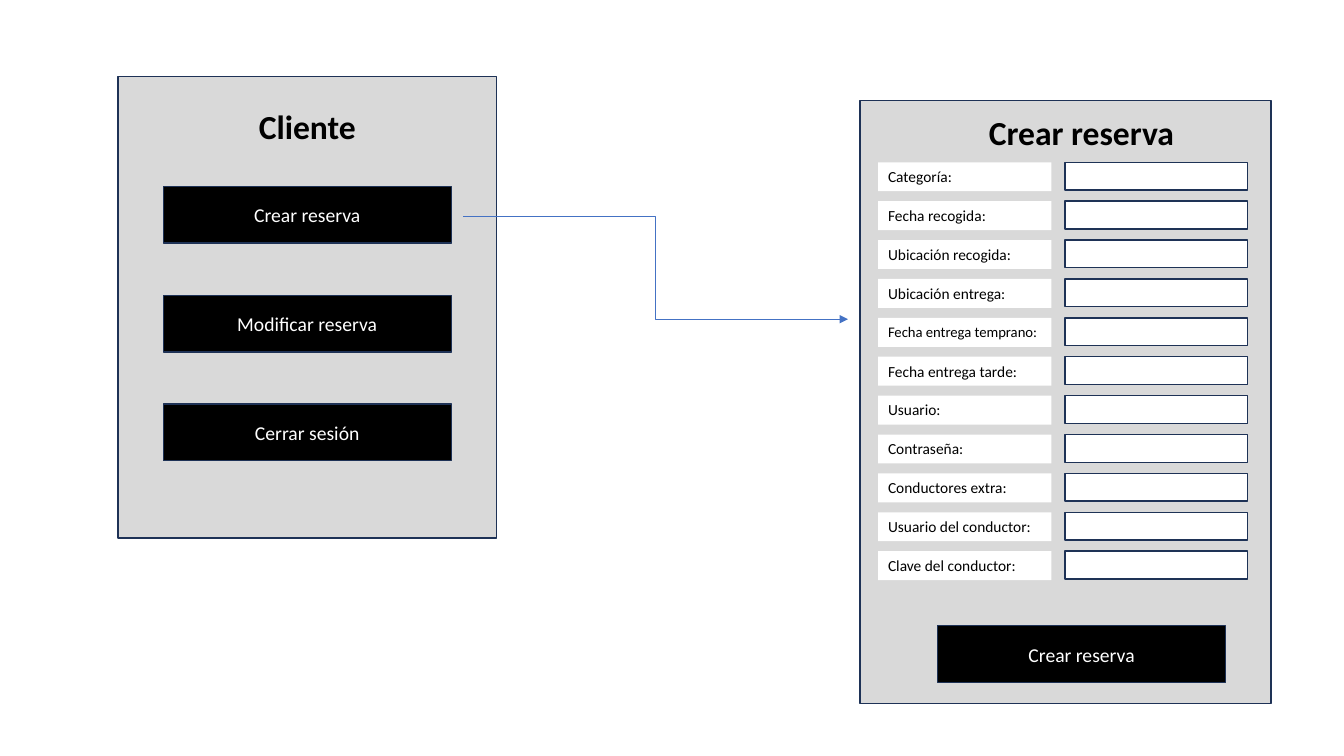
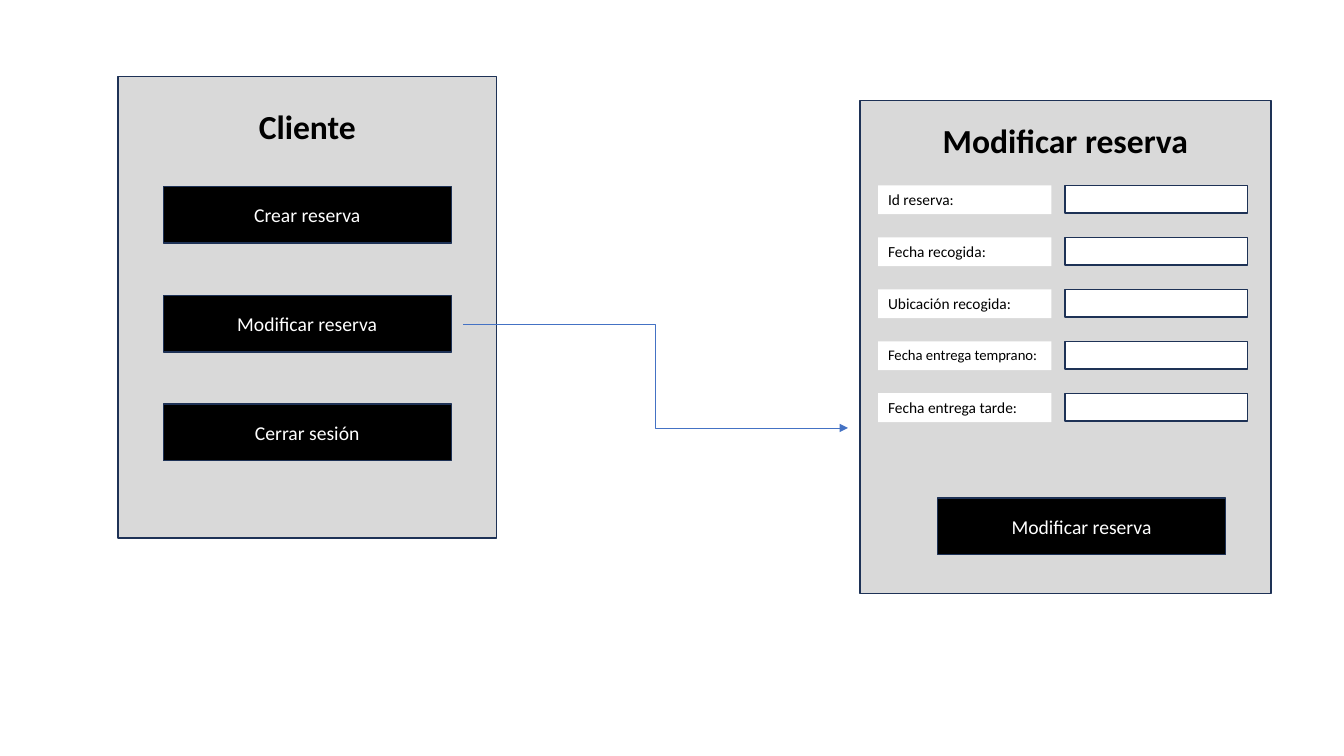
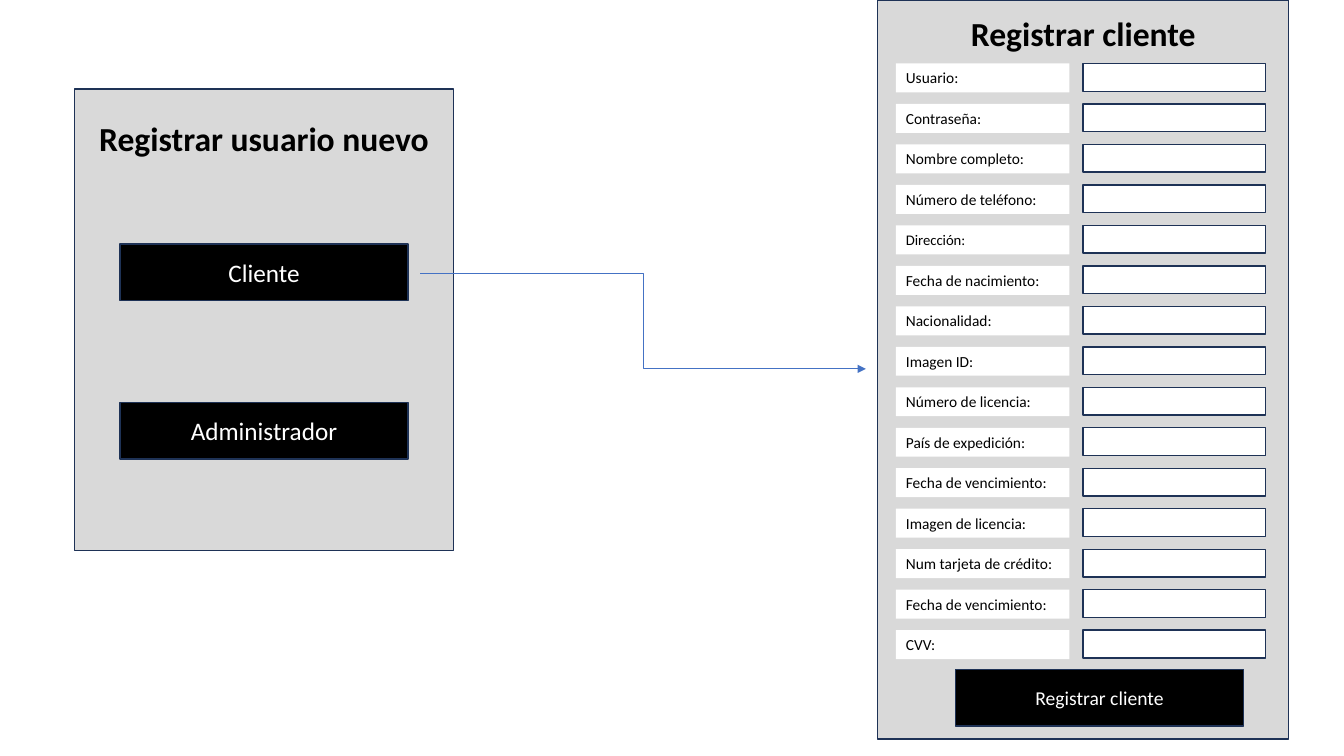
"""Build the booking screen flow slides."""
from dataclasses import dataclass

from lxml import etree
from pptx import Presentation, util as u
from pptx.dml.color import RGBColor
from pptx.enum import shapes, text
from pptx.oxml.ns import qn


@dataclass(frozen=True)
class Theme:
    """Colours, font, type sizes and line widths of the deck."""
    font: str = "Calibri"
    panel: str = "D9D9D9"
    outline: str = "1E3256"
    black: str = "000000"
    white: str = "FFFFFF"
    arrow: str = "4472C4"
    title: float = 24
    button: float = 14
    large_button: float = 18
    label: float = 11
    small_label: float = 10.5
    outline_width: float = 1
    arrow_width: float = 0.5


@dataclass(frozen=True)
class Box:
    """A rectangle in centimetres."""
    left: float
    top: float
    width: float
    height: float

    def inside(self, left, top, width, height):
        """Return a box offset from this box's corner."""
        return Box(self.left + left, self.top + top, width, height)

    def lengths(self):
        """Return left, top, width and height as lengths."""
        return [u.Cm(value) for value in (self.left, self.top, self.width, self.height)]


@dataclass(frozen=True)
class Menu:
    """A menu panel with evenly spaced buttons."""
    box: Box
    title: str
    buttons: tuple
    first_top: float
    pitch: float
    size: float


@dataclass(frozen=True)
class Form:
    """A form panel with evenly spaced rows and one button."""
    box: Box
    title: str
    title_left: float
    title_top: float
    labels: tuple
    first_top: float
    pitch: float
    button: str
    button_top: float


THEME = Theme()
BUTTON_WIDTH, BUTTON_HEIGHT = 7.26, 1.43
TITLE_HEIGHT = 1.28
SMALL_LABELS = {"Fecha entrega temprano:", "Dirección:"}

CLIENT_MENU = Menu(Box(2.97, 1.93, 9.55, 11.63), "Cliente",
                   ("Crear reserva", "Modificar reserva", "Cerrar sesión"),
                   2.77, 2.74, THEME.button)
REGISTER_MENU = Menu(Box(1.88, 2.24, 9.55, 11.63), "Registrar usuario nuevo",
                     ("Cliente", "Administrador"), 3.91, 3.99, THEME.large_button)

CREATE_FORM = Form(
    Box(21.67, 2.54, 10.36, 15.19), "Crear reserva", 0.81, 0.15,
    ("Categoría:", "Fecha recogida:", "Ubicación recogida:", "Ubicación entrega:",
     "Fecha entrega temprano:", "Fecha entrega tarde:", "Usuario:", "Contraseña:",
     "Conductores extra:", "Usuario del conductor:", "Clave del conductor:"),
    1.55, 0.98, "Crear reserva", 13.23)
MODIFY_FORM = Form(
    Box(21.67, 2.54, 10.36, 12.42), "Modificar reserva", 0, 0.36,
    ("Id reserva:", "Fecha recogida:", "Ubicación recogida:",
     "Fecha entrega temprano:", "Fecha entrega tarde:"),
    2.13, 1.31, "Modificar reserva", 10.01)
REGISTER_FORM = Form(
    Box(22.12, 0, 10.36, 18.62), "Registrar cliente", 0, 0.2,
    ("Usuario:", "Contraseña:", "Nombre completo:", "Número de teléfono:",
     "Dirección:", "Fecha de nacimiento:", "Nacionalidad:", "Imagen ID:",
     "Número de licencia:", "País de expedición:", "Fecha de vencimiento:",
     "Imagen de licencia:", "Num tarjeta de crédito:", "Fecha de vencimiento:", "CVV:"),
    1.6, 1.02, "Registrar cliente", 16.87)

FLOWS = (
    (CLIENT_MENU, 0, CREATE_FORM, 2.6),
    (CLIENT_MENU, 1, MODIFY_FORM, 2.6),
    (REGISTER_MENU, 0, REGISTER_FORM, 2.4),
)


def set_attributes(target, values):
    """Set each named attribute of the target."""
    for name, value in values.items():
        setattr(target, name, value)


def write(shape, words, size, colour, align, frame_format, bold=False):
    """Write one formatted paragraph into a shape."""
    set_attributes(shape.text_frame, {"word_wrap": True, **frame_format})
    paragraph = shape.text_frame.paragraphs[0]
    paragraph.alignment = align
    run = paragraph.add_run()
    run.text = words
    set_attributes(run.font, {"name": THEME.font, "size": u.Pt(size), "bold": bold})
    run.font.color.rgb = RGBColor.from_string(colour)


def add_rectangle(slide, box, fill, outlined=True):
    """Add a flat rectangle, outlined by default."""
    shape = slide.shapes.add_shape(shapes.MSO_SHAPE.RECTANGLE, *box.lengths())
    shape.shadow.inherit = False
    shape.fill.solid()
    shape.fill.fore_color.rgb = RGBColor.from_string(fill)
    if outlined:
        shape.line.color.rgb = RGBColor.from_string(THEME.outline)
        shape.line.width = u.Pt(THEME.outline_width)
    else:
        shape.line.fill.background()
    return shape


def add_title(slide, box, words):
    """Add a centred bold panel title."""
    title = slide.shapes.add_textbox(*box.lengths())
    write(title, words, THEME.title, THEME.black, text.PP_ALIGN.CENTER,
          {"auto_size": text.MSO_AUTO_SIZE.SHAPE_TO_FIT_TEXT}, bold=True)


def add_button(slide, box, words, size):
    """Add a black button with white words."""
    write(add_rectangle(slide, box, THEME.black), words, size, THEME.white,
          text.PP_ALIGN.CENTER, {"vertical_anchor": text.MSO_ANCHOR.MIDDLE})


def add_row(slide, box, label):
    """Add a label and its empty input field."""
    size = THEME.small_label if label in SMALL_LABELS else THEME.label
    cell = add_rectangle(slide, box.inside(0, 0, 4.37, box.height), THEME.white, False)
    write(cell, label, size, THEME.black, text.PP_ALIGN.LEFT,
          {"vertical_anchor": text.MSO_ANCHOR.TOP,
           "auto_size": text.MSO_AUTO_SIZE.SHAPE_TO_FIT_TEXT})
    add_rectangle(slide, box.inside(4.71, 0, 4.6, 0.7), THEME.white)


def add_menu(slide, menu):
    """Draw a menu panel and return its button boxes."""
    add_rectangle(slide, menu.box, THEME.panel)
    add_title(slide, menu.box.inside(0, 0.61, menu.box.width, TITLE_HEIGHT), menu.title)
    inset = (menu.box.width - BUTTON_WIDTH) / 2
    boxes = [menu.box.inside(inset, menu.first_top + index * menu.pitch,
                             BUTTON_WIDTH, BUTTON_HEIGHT)
             for index in range(len(menu.buttons))]
    for box, words in zip(boxes, menu.buttons):
        add_button(slide, box, words, menu.size)
    return boxes


def add_form(slide, form):
    """Draw a form panel with its title, rows and button."""
    add_rectangle(slide, form.box, THEME.panel)
    add_title(slide, form.box.inside(form.title_left, form.title_top,
                                     form.box.width - form.title_left, TITLE_HEIGHT), form.title)
    for index, label in enumerate(form.labels):
        add_row(slide, form.box.inside(0.46, form.first_top + index * form.pitch, 9.31, 0.73),
                label)
    add_button(slide, form.box.inside(1.96, form.button_top, BUTTON_WIDTH, BUTTON_HEIGHT),
               form.button, THEME.button)


def add_arrow(slide, button, form, drop):
    """Join a menu button to a form with an elbow arrow."""
    middle = button.top + button.height / 2 + 0.03
    ends = (button.left + button.width + 0.3, middle, form.left - 0.3, middle + drop)
    arrow = slide.shapes.add_connector(shapes.MSO_CONNECTOR.ELBOW, *map(u.Cm, ends))
    arrow.line.color.rgb = RGBColor.from_string(THEME.arrow)
    arrow.line.width = u.Pt(THEME.arrow_width)
    etree.SubElement(arrow.line._get_or_add_ln(), qn("a:tailEnd"), type="triangle")
    etree.SubElement(arrow._element.spPr, qn("a:effectLst"))


def add_flow_slide(presentation, menu, chosen, form, drop):
    """Add a slide leading from a menu button to its form."""
    slide = presentation.slides.add_slide(presentation.slide_layouts[6])
    buttons = add_menu(slide, menu)
    add_arrow(slide, buttons[chosen], form.box, drop)
    add_form(slide, form)


def main():
    """Build and save the presentation."""
    presentation = Presentation()
    set_attributes(presentation, {"slide_width": u.Cm(33.87), "slide_height": u.Cm(19.05)})
    for flow in FLOWS:
        add_flow_slide(presentation, *flow)
    presentation.save("out.pptx")


if __name__ == "__main__":
    main()
